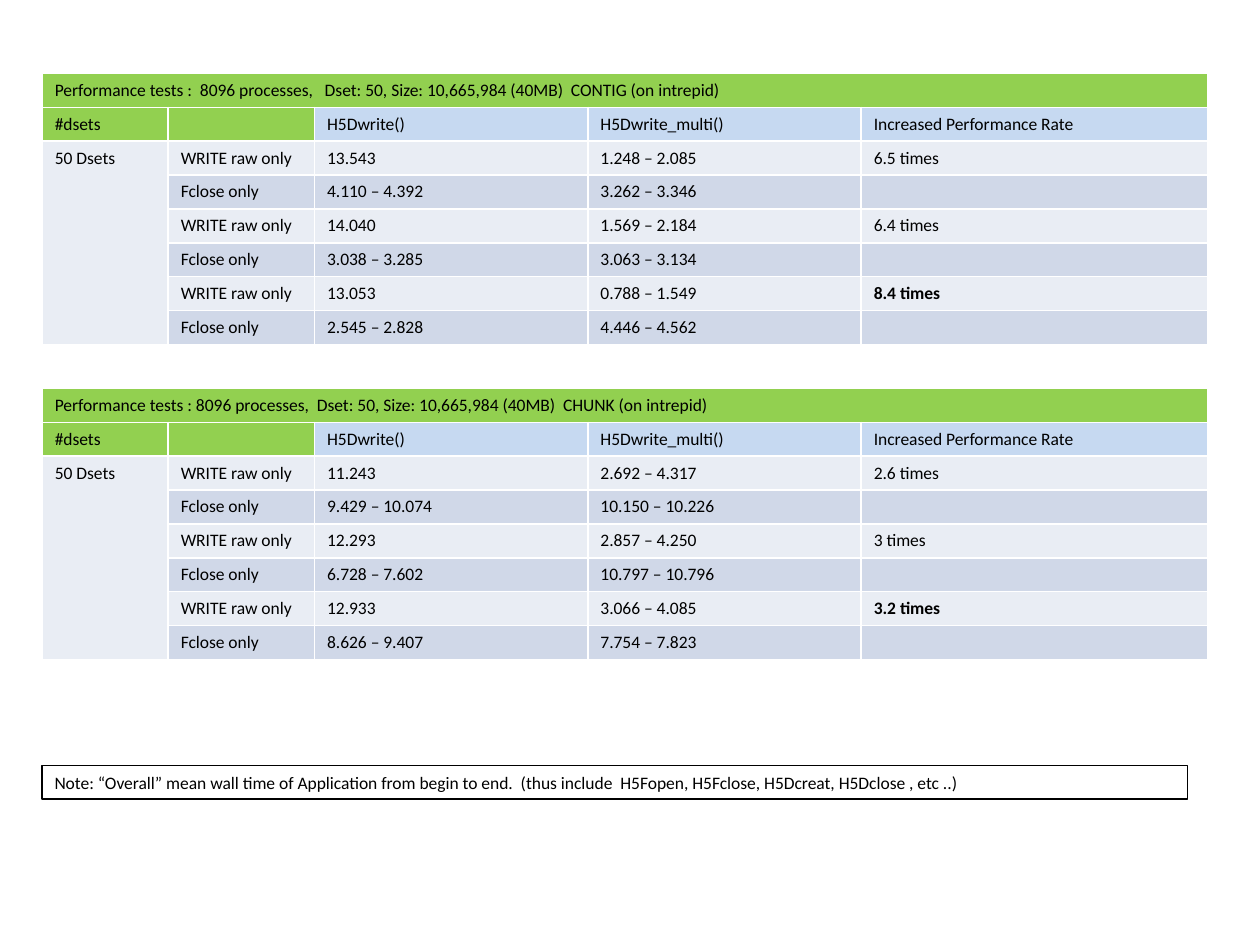
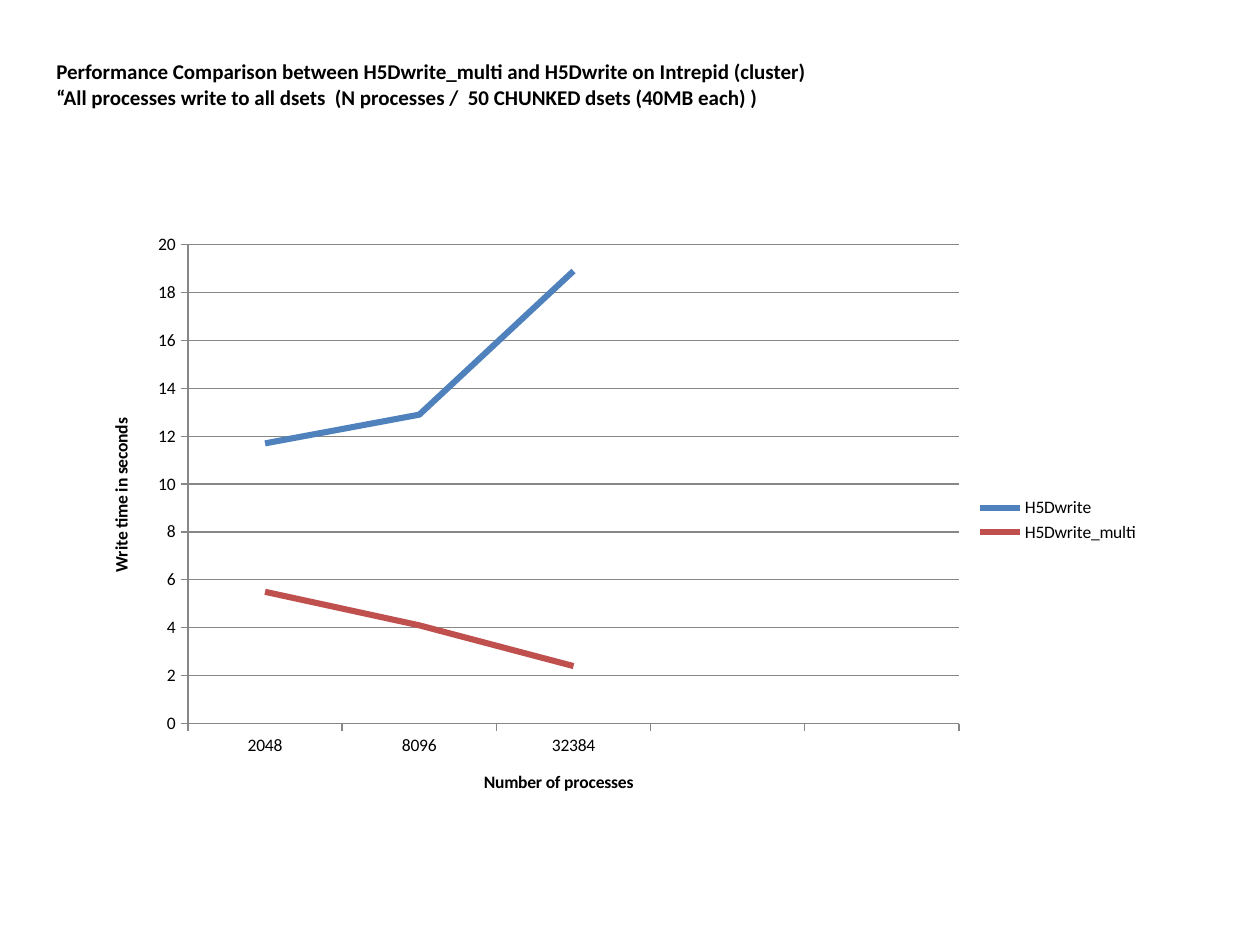
from lxml import etree
from pptx import Presentation
from pptx.chart.data import CategoryChartData
from pptx.dml.color import RGBColor
from pptx.enum import chart as charts, shapes, text
from pptx.oxml import ns
from pptx.util import Cm, Pt

FONT = "Calibri"
BLACK, GRID = "000000", "878787"
GREEN, PALE_BLUE = "92D050", "C6D9F1"
BANDS = ("E9EDF4", "D0D8E8")
SERIES_COLOURS = ("4F81BD", "C0504D")
LEFT, TEXT_WIDTH = 0.85, 23.09
ROW_HEIGHT = 0.68
COLUMN_WIDTHS = (2.54, 2.95, 5.51, 5.51, 6.98)
HEADINGS = ("#dsets", "", "H5Dwrite()", "H5Dwrite_multi()", "Increased Performance Rate")

CONTIG_TIMES = (
    ("13.543", "1.248 – 2.085", "6.5 times"),
    ("4.110 – 4.392", "3.262 – 3.346", ""),
    ("14.040", "1.569 – 2.184", "6.4 times"),
    ("3.038 – 3.285", "3.063 – 3.134", ""),
    ("13.053", "0.788 – 1.549", "8.4 times"),
    ("2.545 – 2.828", "4.446 – 4.562", ""),
)
CHUNK_TIMES = (
    ("11.243", "2.692 – 4.317", "2.6 times"),
    ("9.429 – 10.074", "10.150 – 10.226", ""),
    ("12.293", "2.857 – 4.250", "3 times"),
    ("6.728 – 7.602", "10.797 – 10.796", ""),
    ("12.933", "3.066 – 4.085", "3.2 times"),
    ("8.626 – 9.407", "7.754 – 7.823", ""),
)


def colour(value):
    return RGBColor.from_string(value)


def style_font(font, size=10, bold=False):
    font.name, font.size, font.bold = FONT, Pt(size), bold
    font.color.rgb = colour(BLACK)


def style_text(frame, size=10, bold=False):
    for para in frame.paragraphs:
        para.alignment = text.PP_ALIGN.LEFT
        for span in para.runs:
            style_font(span.font, size, bold)


def fill_cell(cell, words, fill, bold=False):
    """Write and colour a cell; an empty one also keeps the small text size."""
    cell.text = words
    cell.fill.solid()
    cell.fill.fore_color.rgb = colour(fill)
    style_text(cell.text_frame, bold=bold)
    if not words:
        para = cell.text_frame.paragraphs[0]
        etree.SubElement(para._p, ns.qn("a:endParaRPr"), sz="1000")


def add_timing_table(page, left, top, caption, times):
    rows = [(caption, "", "", "", ""), HEADINGS]
    for index, values in enumerate(times):
        step = "Fclose only" if index % 2 else "WRITE raw only"
        rows.append(("" if index else "50 Dsets", step, *values))
    table = page.shapes.add_table(
        len(rows), len(COLUMN_WIDTHS), Cm(left), Cm(top),
        Cm(sum(COLUMN_WIDTHS)), Cm(ROW_HEIGHT * len(rows))).table
    table.first_row = table.horz_banding = False
    for column, width in zip(table.columns, COLUMN_WIDTHS):
        column.width = Cm(width)
    best_row = len(rows) - 2
    for r, row in enumerate(rows):
        table.rows[r].height = Cm(ROW_HEIGHT)
        for c, words in enumerate(row):
            if r < 2:
                fill = GREEN if r == 0 or c < 2 else PALE_BLUE
            else:
                fill = BANDS[r % 2 if c else 0]
            fill_cell(table.cell(r, c), words, fill, bold=(r, c) == (best_row, 4))
    table.cell(0, 0).merge(table.cell(0, 4))
    table.cell(2, 0).merge(table.cell(len(rows) - 1, 0))


def add_note(page, left, top, width, height, words):
    note = page.shapes.add_shape(
        shapes.MSO_SHAPE.RECTANGLE, Cm(left), Cm(top), Cm(width), Cm(height))
    note.shadow.inherit = False
    note.fill.background()
    note.line.color.rgb = colour(BLACK)
    note.line.width = Pt(0.75)
    frame = note.text_frame
    frame.text = words
    frame.word_wrap = True
    frame.vertical_anchor = text.MSO_ANCHOR.TOP
    style_text(frame)


def set_title(page, left, top, width, height, words):
    title = page.shapes.title
    title.left, title.top, title.width, title.height = map(Cm, (left, top, width, height))
    frame = title.text_frame
    frame.text = words
    frame.word_wrap = True
    frame.auto_size = text.MSO_AUTO_SIZE.SHAPE_TO_FIT_TEXT
    frame.vertical_anchor = text.MSO_ANCHOR.TOP
    style_text(frame, 12, bold=True)


def place_plot(chart, **fractions):
    """Fix the inner plot area as fractions of the chart's box."""
    area = chart._chartSpace.find(".//" + ns.qn("c:plotArea"))
    for old_layout in area.findall(ns.qn("c:layout")):
        area.remove(old_layout)
    layout = etree.Element(ns.qn("c:layout"))
    area.insert(0, layout)
    manual = etree.SubElement(layout, ns.qn("c:manualLayout"))
    settings = {"layoutTarget": "inner", "xMode": "edge", "yMode": "edge", **fractions}
    for tag, value in settings.items():
        etree.SubElement(manual, ns.qn("c:" + tag), val=str(value))


def style_axis(axis, title):
    axis.has_title = True
    axis.axis_title.text_frame.text = title
    style_font(axis.axis_title.text_frame.paragraphs[0].runs[0].font, bold=True)
    axis.major_tick_mark = charts.XL_TICK_MARK.OUTSIDE
    axis.minor_tick_mark = charts.XL_TICK_MARK.NONE
    axis.format.line.color.rgb = colour(GRID)


def add_time_chart(page, left, top, width, height):
    data = CategoryChartData()
    data.categories = ["2048", "8096", "32384", "", ""]
    data.add_series("H5Dwrite", (11.7, 12.9, 18.9, None, None))
    data.add_series("H5Dwrite_multi", (5.5, 4.1, 2.4, None, None))
    chart = page.shapes.add_chart(
        charts.XL_CHART_TYPE.LINE, Cm(left), Cm(top), Cm(width), Cm(height), data).chart
    style_font(chart.font)
    chart.has_title = False
    chart.has_legend = True
    chart.legend.position = charts.XL_LEGEND_POSITION.RIGHT
    chart.legend.include_in_layout = False
    style_axis(chart.category_axis, "Number of processes")
    style_axis(chart.value_axis, "Write time in seconds")
    chart.value_axis.minimum_scale = 0
    chart.value_axis.maximum_scale = 20
    chart.value_axis.major_unit = 2
    chart.value_axis.has_major_gridlines = True
    chart.value_axis.major_gridlines.format.line.color.rgb = colour(GRID)
    chart.plots[0].vary_by_categories = False
    for series, line_colour in zip(chart.plots[0].series, SERIES_COLOURS):
        series.smooth = False
        series.format.line.color.rgb = colour(line_colour)
        series.format.line.width = Pt(3.5)
    place_plot(chart, x=0.1, y=0.04, w=0.72, h=0.8)


def build_timings(deck):
    page = deck.slides.add_slide(deck.slide_layouts[6])
    add_timing_table(
        page, LEFT, 1.48,
        "Performance tests :  8096 processes,   Dset: 50, Size: 10,665,984 (40MB)  CONTIG (on intrepid)",
        CONTIG_TIMES)
    add_timing_table(
        page, LEFT, 7.83,
        "Performance tests : 8096 processes,  Dset: 50, Size: 10,665,984 (40MB)  CHUNK (on intrepid)",
        CHUNK_TIMES)
    add_note(
        page, LEFT, 15.43, TEXT_WIDTH, ROW_HEIGHT,
        "Note: “Overall” mean wall time of Application from begin to end.  "
        "(thus include  H5Fopen, H5Fclose, H5Dcreat, H5Dclose , etc ..)")


def build_comparison(deck):
    page = deck.slides.add_slide(deck.slide_layouts[5])
    set_title(
        page, 0.88, 1.06, TEXT_WIDTH, 1.28,
        "Performance Comparison between H5Dwrite_multi and H5Dwrite on Intrepid (cluster)\n"
        "“All processes write to all dsets  (N processes /  50 CHUNKED dsets (40MB each) )")
    add_time_chart(page, 1.63, 4.45, 21.59, 12.07)


def main():
    deck = Presentation()
    deck.slide_width, deck.slide_height = Cm(25.4), Cm(19.05)
    build_timings(deck)
    build_comparison(deck)
    deck.save("out.pptx")


if __name__ == "__main__":
    main()
